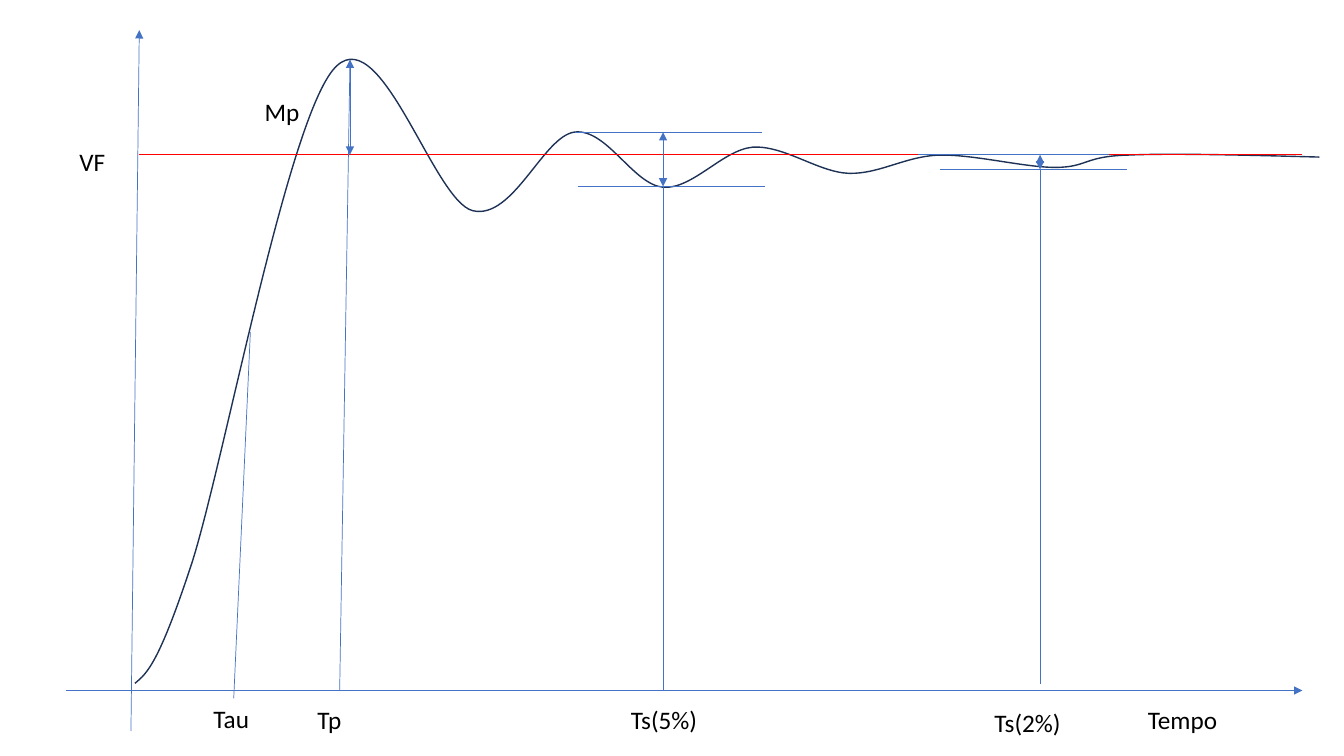
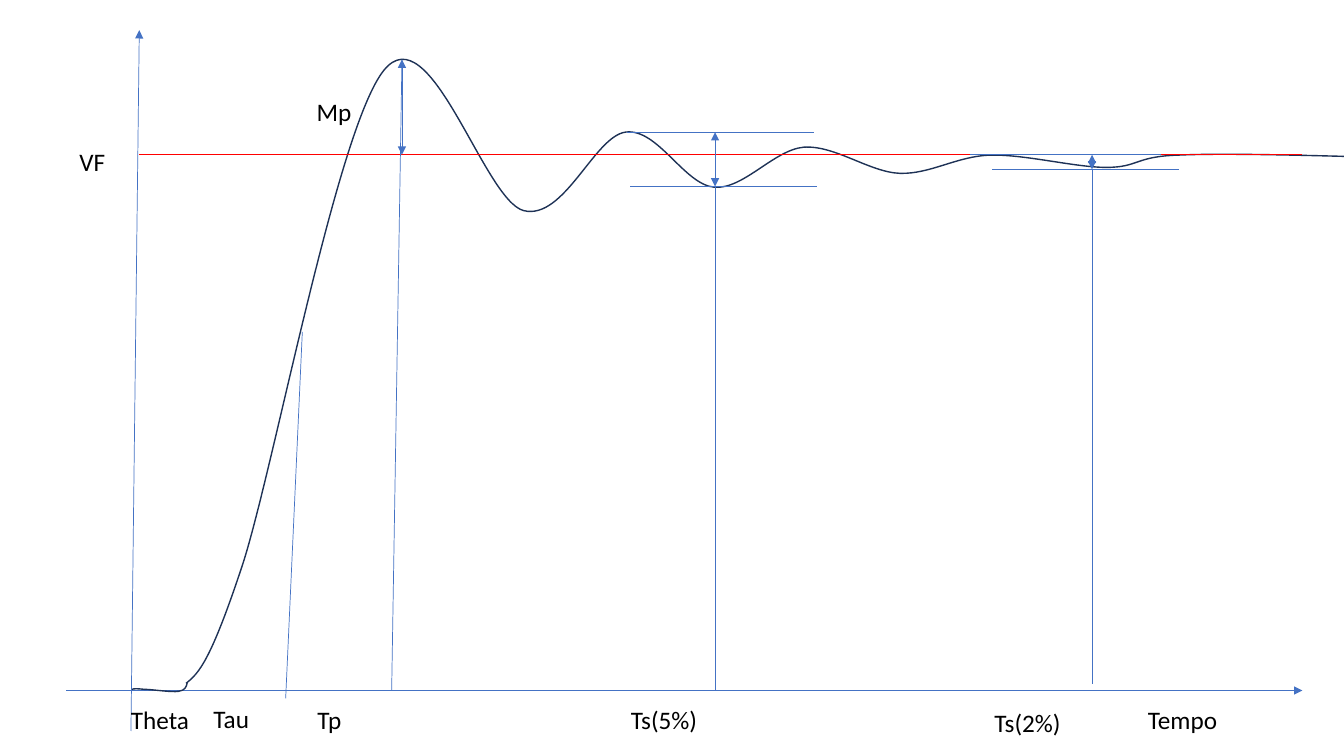
from dataclasses import dataclass

import lxml.etree
import pptx
import pptx.dml.color
import pptx.enum.shapes
import pptx.enum.text
import pptx.oxml.ns
import pptx.util

Cm = pptx.util.Cm
Pt = pptx.util.Pt
RGBColor = pptx.dml.color.RGBColor
qn = pptx.oxml.ns.qn


@dataclass(frozen=True)
class Theme:
    guide: RGBColor = RGBColor(0x44, 0x72, 0xC4)
    response: RGBColor = RGBColor(0x1E, 0x32, 0x56)
    final_value: RGBColor = RGBColor(0xFF, 0x00, 0x00)
    text: RGBColor = RGBColor(0x00, 0x00, 0x00)
    font: str = "Calibri"
    label_size: float = 18
    thin: float = 0.5
    curve: float = 1


# All lengths are centimetres.
TIME_AXIS = 17.4
FINAL_VALUE = 3.9
PEAK = 1.5
CURVE_DELAY = 1.29
MARK_DELAY = 1.31
CURVE_STEPS = 24

# A start point, then two control points and an end point per segment.
RESPONSE = [
    (3.40, 17.22),
    (3.71, 16.97), (4.01, 16.71), (4.85, 14.15),
    (5.66, 11.56), (7.21, 3.25), (8.38, 1.78),
    (9.55, 0.30), (10.90, 5.05), (11.91, 5.31),
    (12.93, 5.56), (13.69, 3.43), (14.48, 3.33),
    (15.29, 3.23), (15.95, 4.65), (16.71, 4.72),
    (17.45, 4.78), (18.21, 3.78), (18.97, 3.71),
    (19.76, 3.66), (20.62, 4.34), (21.39, 4.37),
    (22.17, 4.39), (22.81, 3.94), (23.67, 3.91),
    (24.54, 3.89), (25.81, 4.22), (26.59, 4.22),
    (27.41, 4.22), (27.31, 3.94), (28.42, 3.91),
    (29.51, 3.86), (31.39, 3.91), (33.25, 3.96),
]
DEAD_TIME = [
    (3.33, 17.37),
    (3.38, 17.35), (3.45, 17.35), (3.63, 17.37),
    (3.84, 17.37), (4.32, 17.45), (4.50, 17.42),
    (4.67, 17.40), (4.70, 17.30), (4.72, 17.20),
]
# Text, left, top, width
LABELS = [
    ("Tempo", 28.68, 17.63, 3.30),
    ("Tp", 7.75, 17.63, 1.68),
    ("Ts(5%)", 15.65, 17.63, 2.46),
    ("Ts(2%)", 24.81, 17.70, 2.46),
    ("Tau", 5.13, 17.60, 1.68),
    ("VF", 1.75, 3.56, 1.68),
]


def bezier_points(points):
    """Sample a chain of cubic Bezier segments, leaving out its start."""
    for first in range(0, len(points) - 1, 3):
        segment = points[first:first + 4]
        for step in range(1, CURVE_STEPS + 1):
            t = step / CURVE_STEPS
            weights = ((1 - t) ** 3, 3 * t * (1 - t) ** 2, 3 * t ** 2 * (1 - t), t ** 3)
            yield tuple(round(sum(w * point[axis] for w, point in zip(weights, segment)))
                        for axis in (0, 1))


def bend(shape, points):
    """Replace the straight outline of a freeform by cubic segments."""
    outline = next(shape._element.iter(qn("a:path")))
    for command in list(outline):
        outline.remove(command)
    groups = [("a:moveTo", points[:1])]
    groups += [("a:cubicBezTo", points[first:first + 3])
               for first in range(1, len(points), 3)]
    for name, group in groups:
        command = lxml.etree.SubElement(outline, qn(name))
        for x, y in group:
            lxml.etree.SubElement(command, qn("a:pt"),
                                  x=str(x - shape.left), y=str(y - shape.top))


class Diagram:
    def __init__(self, presentation, theme):
        self.presentation = presentation
        self.theme = theme
        self.slide = None

    def new_slide(self):
        self.slide = self.presentation.slides.add_slide(self.presentation.slide_layouts[6])

    def line(self, start, end, color=None, ends=()):
        """Draw a straight line; ends names the arrowheads: headEnd, tailEnd."""
        connector = self.slide.shapes.add_connector(
            pptx.enum.shapes.MSO_CONNECTOR.STRAIGHT,
            *(Cm(value) for value in (*start, *end)))
        connector.line.color.rgb = color or self.theme.guide
        connector.line.width = Pt(self.theme.thin)
        properties = connector._element.spPr
        for end_name in ends:
            lxml.etree.SubElement(properties.get_or_add_ln(), qn(f"a:{end_name}"),
                                  type="triangle")
        lxml.etree.SubElement(properties, qn("a:effectLst"))

    def span(self, x, top, bottom):
        """Draw a vertical measure with an arrowhead at both ends."""
        self.line((x, top), (x, bottom), ends=("headEnd", "tailEnd"))

    def curve(self, points, shift=0):
        """Draw a smooth outline whose frame fits the curve, not its controls."""
        placed = [(Cm(x + shift), Cm(y)) for x, y in points]
        builder = self.slide.shapes.build_freeform(*placed[0])
        builder.add_line_segments(bezier_points(placed), close=False)
        shape = builder.convert_to_shape()
        bend(shape, placed)
        shape.shadow.inherit = False
        shape.fill.background()
        shape.line.color.rgb = self.theme.response
        shape.line.width = Pt(self.theme.curve)

    def label(self, text, left, top, width):
        box = self.slide.shapes.add_textbox(Cm(left), Cm(top), Cm(width), Cm(1.03))
        frame = box.text_frame
        frame.word_wrap = True
        frame.auto_size = pptx.enum.text.MSO_AUTO_SIZE.SHAPE_TO_FIT_TEXT
        run = frame.paragraphs[0].add_run()
        run.text = text
        run.font.name = self.theme.font
        run.font.size = Pt(self.theme.label_size)
        run.font.color.rgb = self.theme.text

    def settling(self, x, band_top, band_bottom, upper, lower, foot):
        """Mark a settling time by its band limits, height and drop line."""
        self.line((upper[0], band_top), (upper[1], band_top))
        self.line((lower[0], band_bottom), (lower[1], band_bottom))
        self.span(x, band_top, band_bottom)
        self.line((x, band_bottom), (x, foot))

    def step_response(self, curve_delay=0, delay=0):
        self.new_slide()
        self.line((1.67, TIME_AXIS), (32.82, TIME_AXIS), ends=("tailEnd",))
        self.line((3.30, 18.42), (3.51, 0.76), ends=("tailEnd",))
        self.curve(RESPONSE, curve_delay)
        self.line((3.51, FINAL_VALUE), (32.82, FINAL_VALUE), self.theme.final_value)

        peak_time = 8.82 + delay
        self.line((peak_time, PEAK), (8.56 + delay, TIME_AXIS))
        self.span(peak_time, PEAK, FINAL_VALUE)
        self.label("Mp", 6.42 + delay, 2.31, 1.55)
        self.line((5.89 + delay, 17.60), (6.31 + delay, 8.36))

        self.settling(16.71 + delay, 3.33, 4.70, (14.48 + delay, 19.20 + delay),
                      (14.57 + delay, 19.29 + delay), TIME_AXIS)
        self.settling(26.21 + delay, FINAL_VALUE, 4.27, (23.14 + delay, 27.94 + delay),
                      (23.69 + delay, 28.39 + delay), 17.23)
        for label in LABELS:
            self.label(*label)


def main():
    presentation = pptx.Presentation()
    presentation.slide_width = Cm(33.87)
    presentation.slide_height = Cm(19.05)
    diagram = Diagram(presentation, Theme())

    diagram.step_response()

    diagram.step_response(CURVE_DELAY, MARK_DELAY)
    diagram.curve(DEAD_TIME)
    diagram.label("Theta", 3.05, 17.63, 2.08)

    presentation.save("out.pptx")


if __name__ == "__main__":
    main()
